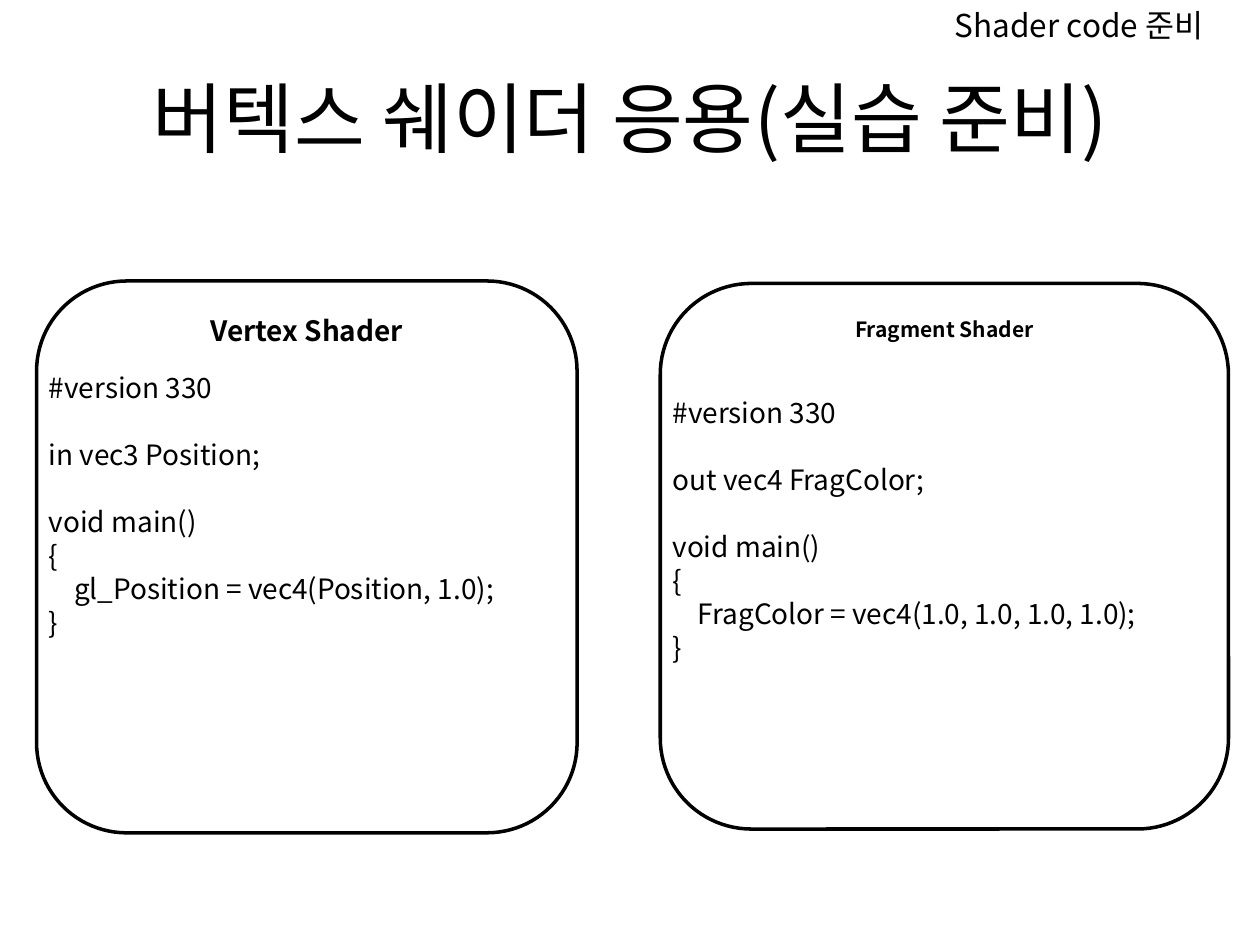
from lxml.etree import SubElement as Sub
from pptx import Presentation
from pptx.dml.color import RGBColor as Rgb
from pptx.enum.shapes import MSO_SHAPE as Shape
from pptx.enum.text import MSO_ANCHOR as Anchor, PP_ALIGN as Align
from pptx.oxml.ns import qn
from pptx.util import Inches, Pt

FONT = "Noto Sans CJK KR"
INK, PAPER = "000000", "FFFFFF"
GAP = Pt(19.2)  # one empty line of code


def paint(color, code):
    """Set a colour format from a hex string."""
    color.rgb = Rgb.from_string(code)


def write(para, text, size, bold=False):
    """Add one run to a paragraph."""
    run = para.add_run()
    run.text = text
    font = run.font
    font.size, font.bold, font.name = Pt(size), bold, FONT
    paint(font.color, INK)
    Sub(font._element, qn("a:ea")).set("typeface", FONT)


def label(slide, box, text, size, align=Align.LEFT, anchor=Anchor.TOP):
    """Place a single line of text in a box."""
    frame = slide.shapes.add_textbox(*map(Inches, box)).text_frame
    frame.word_wrap = True
    frame.vertical_anchor = anchor
    frame.paragraphs[0].alignment = align
    write(frame.paragraphs[0], text, size)


def code(slide, box, lines):
    """Place code lines as (text, spaced, indented) in a box."""
    frame = slide.shapes.add_textbox(*map(Inches, box)).text_frame
    frame.word_wrap = True
    for i, (text, spaced, inner) in enumerate(lines):
        para = frame.add_paragraph() if i else frame.paragraphs[0]
        if spaced:
            para.space_before = GAP
        if inner:
            para._p.get_or_add_pPr().set("marL", str(Inches(0.2)))
        write(para, text, 16)


def panel(slide, box, head, size, drop, var, body):
    """Draw a rounded shader panel with its heading and code."""
    left, top, width, height = box
    card = slide.shapes.add_shape(Shape.ROUNDED_RECTANGLE, *map(Inches, box))
    card.shadow.inherit = False
    card.fill.solid()
    paint(card.fill.fore_color, PAPER)
    paint(card.line.color, INK)
    card.line.width = Pt(2)
    frame = card.text_frame
    frame.vertical_anchor = Anchor.TOP
    frame.paragraphs[0].alignment = Align.CENTER
    write(frame.paragraphs[0], head, size, True)
    code(slide, (left, top + drop, width, 2.3), [
        ("#version 330", False, False),
        (var, True, False),
        ("void main()", True, False),
        ("{", False, False),
        (body, False, True),
        ("}", False, False),
    ])


def build():
    """Build the slide and save it."""
    deck = Presentation()
    deck.slide_width, deck.slide_height = Inches(10), Inches(7.5)
    slide = deck.slides.add_slide(deck.slide_layouts[6])
    label(slide, (0.5, 0.3, 9, 1.25), "버텍스 쉐이더 응용(실습 준비)", 44,
          Align.CENTER, Anchor.MIDDLE)
    panel(slide, (5.24, 2.25, 4.51, 4.33), "Fragment Shader", 12, 0.84,
          "out vec4 FragColor;", "FragColor = vec4(1.0, 1.0, 1.0, 1.0);")
    panel(slide, (0.29, 2.23, 4.29, 4.38), "Vertex Shader", 16, 0.66,
          "in vec3 Position;", "gl_Position = vec4(Position, 1.0);")
    label(slide, (7.48, 0, 2.52, 0.4), "Shader code 준비", 18)
    deck.save("out.pptx")


build()
